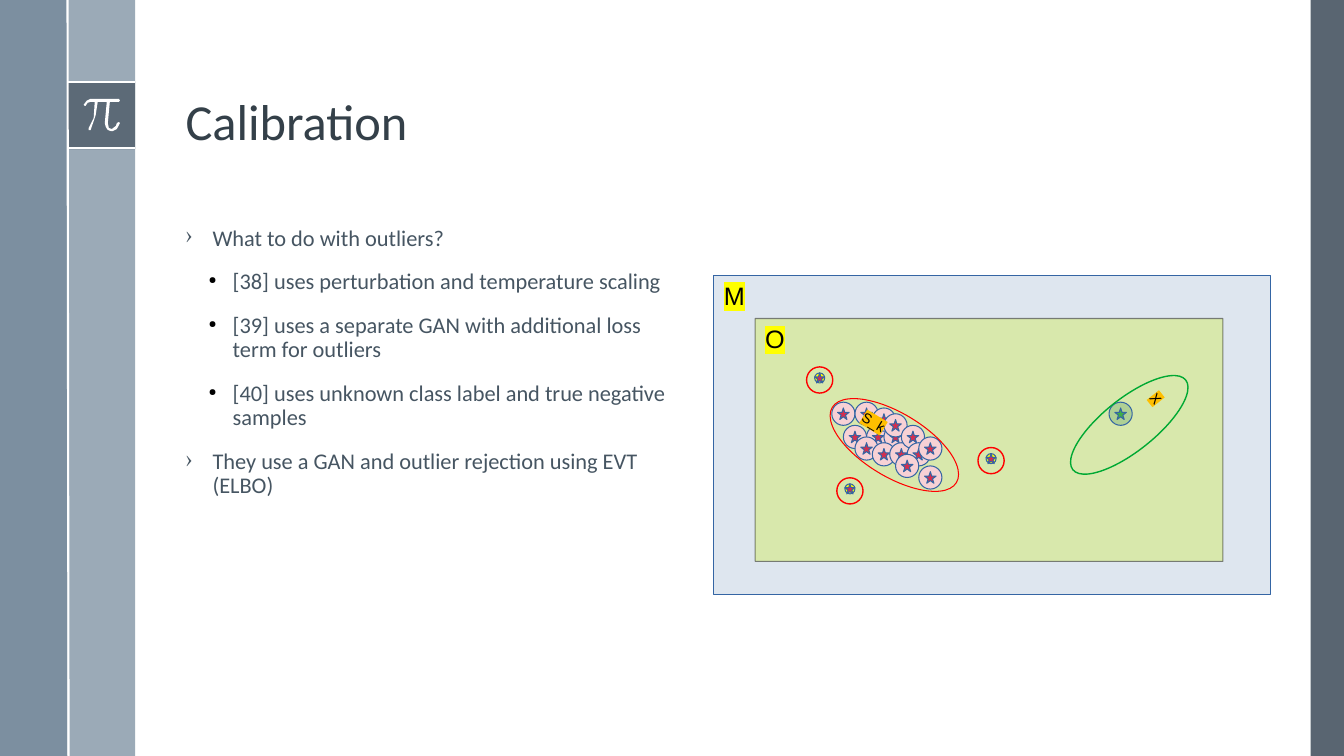
from lxml.etree import SubElement
from pptx import Presentation
from pptx.dml.color import RGBColor
from pptx.enum.shapes import MSO_CONNECTOR, MSO_SHAPE
from pptx.enum.text import MSO_ANCHOR, MSO_AUTO_SIZE, PP_ALIGN
from pptx.oxml.ns import qn
from pptx.util import Inches, Pt

COLORS = {
    "slate": "475562", "mist": "9BAAB7", "steel": "6A8093", "white": "FFFFFF",
    "title": "344049", "body": "465562", "black": "000000", "blue": "3465A4",
    "pale_blue": "DEE6EF", "lime": "D4EA6B", "ink": "111111", "pink": "F7D1D5",
    "crimson": "D62E4E", "red": "FF0000", "sage": "AFD095", "leaf": "3FAF46",
    "green": "00A933", "yellow": "FFFF00", "amber": "FFBF00",
}
PI_OUTLINE = [
    (1.18, 0.98), (0.9, 0.98), (0.86, 1), (0.83, 1.04), (0.84, 1.05), (0.85, 1.05),
    (0.87, 1.02), (0.9, 1.01), (0.94, 1.01), (0.93, 1.17), (0.88, 1.27), (0.88, 1.29),
    (0.9, 1.29), (0.95, 1.14), (0.97, 1.01), (1.06, 1.01), (1.04, 1.22), (1.05, 1.26),
    (1.07, 1.29), (1.1, 1.3), (1.12, 1.3), (1.16, 1.28), (1.19, 1.22), (1.18, 1.21),
    (1.16, 1.22), (1.15, 1.25), (1.11, 1.28), (1.08, 1.27), (1.07, 1.22), (1.09, 1.01),
    (1.18, 1.01), (1.19, 1),
]
BULLETS = [
    (0, "What to do with outliers?"),
    (1, "[38] uses perturbation and temperature scaling"),
    (1, "[39] uses a separate GAN with additional loss term for outliers"),
    (1, "[40] uses unknown class label and true negative samples"),
    (0, "They use a GAN and outlier rejection using EVT (ELBO)"),
]
BULLET_STYLES = [("›", "body", 100, 0.27, 0.27), ("●", "black", 45, 0.47, 0.24)]
CIRCLE = 0.23
CLUSTER_STEPS = [
    (0, 0), (4, 0), (2, 4), (6, 4), (7, 1), (9, 4), (4, 6), (7, 7), (9, 2),
    (10, 7), (12, 4), (13, 7), (11, 9), (15, 6), (15, 11),
]
OUTLIER_RINGS = [(9.7, 4.44), (8, 3.64), (8.3, 4.74)]


class SlideBuilder:
    """Holds the style and the current slide, with a method per kind of element."""

    def __init__(self, page):
        self.page = page

    def color(self, name):
        return RGBColor.from_string(COLORS[name])

    def paint(self, shape, fill=None, line=None, line_width=0, opacity=100, line_opacity=100):
        shape.shadow.inherit = False
        for paint_format, name in ((shape.fill, fill), (shape.line.fill, line)):
            if name is None:
                paint_format.background()
            else:
                paint_format.solid()
                paint_format.fore_color.rgb = self.color(name)
        if line:
            shape.line.width = Pt(line_width)
        for color in shape._element.spPr.iter(qn("a:srgbClr")):
            in_line = color.getparent().getparent().tag == qn("a:ln")
            alpha = line_opacity if in_line else opacity
            if alpha < 100:
                SubElement(color, qn("a:alpha"), val=str(alpha * 1000))

    def shape(self, kind, left, top, width, height, parent=None, rotation=0, **style):
        shapes = (parent or self.page).shapes
        shape = shapes.add_shape(kind, Inches(left), Inches(top), Inches(width), Inches(height))
        shape.rotation = rotation
        self.paint(shape, **style)
        return shape

    def rule(self, x1, y1, x2, y2):
        line = self.page.shapes.add_connector(
            MSO_CONNECTOR.STRAIGHT, Inches(x1), Inches(y1), Inches(x2), Inches(y2))
        line.line.color.rgb = self.color("white")
        line.line.width = Pt(1.5)
        SubElement(line._element.spPr, qn("a:effectLst"))

    def outline(self, points, fill):
        start, *others = [(Inches(x), Inches(y)) for x, y in points]
        builder = self.page.shapes.build_freeform(*start)
        builder.add_line_segments(others)
        self.paint(builder.convert_to_shape(), fill=fill)

    def format_span(self, span, size, font, color):
        span.font.size = Pt(size)
        span.font.name = font
        span.font.color.rgb = self.color(color)

    def label(self, shape, text, size, highlight):
        frame = shape.text_frame
        frame.word_wrap = False
        frame.vertical_anchor = MSO_ANCHOR.TOP
        frame.text = text
        para = frame.paragraphs[0]
        para.alignment = PP_ALIGN.LEFT
        span = para.runs[0]
        self.format_span(span, size, "Arial", "black")
        properties = span.font._element
        mark = SubElement(properties, qn("a:highlight"))
        SubElement(mark, qn("a:srgbClr"), val=COLORS[highlight])
        properties.find(qn("a:latin")).addprevious(mark)

    def title(self, text, left, top, width, height):
        box = self.page.shapes.title
        box.left, box.top = Inches(left), Inches(top)
        box.width, box.height = Inches(width), Inches(height)
        frame = box.text_frame
        frame.text = text
        frame.auto_size = MSO_AUTO_SIZE.NONE
        frame.vertical_anchor = MSO_ANCHOR.BOTTOM
        para = frame.paragraphs[0]
        para.alignment = PP_ALIGN.LEFT
        para.line_spacing = 0.9
        self.format_span(para.runs[0], 36, "Calibri", "title")

    def bullets(self, items, left, top, width, height):
        box = self.page.shapes.add_textbox(
            Inches(left), Inches(top), Inches(width), Inches(height))
        frame = box.text_frame
        frame.word_wrap = True
        for index, (level, text) in enumerate(items):
            para = frame.add_paragraph() if index else frame.paragraphs[0]
            para.text = text
            para.level = level
            symbol, color, percent, margin, hanging = BULLET_STYLES[level]
            properties = para._p.get_or_add_pPr()
            properties.set("marL", str(Inches(margin)))
            properties.set("indent", str(-Inches(hanging)))
            bullet_color = SubElement(properties, qn("a:buClr"))
            SubElement(bullet_color, qn("a:srgbClr"), val=COLORS[color])
            SubElement(properties, qn("a:buSzPct"), val=str(percent * 1000))
            SubElement(properties, qn("a:buChar"), char=symbol)
            para.line_spacing = 0.9
            para.space_before = Pt(14 if index else 0)
            self.format_span(para.runs[0], 16, "Calibri", "body")

    def marker(self, left, top, size, star_size, fill, star_fill):
        group = self.page.shapes.add_group_shape()
        inset = (size - star_size) / 2
        self.shape(MSO_SHAPE.OVAL, left, top, size, size, group, fill=fill, line="blue")
        self.shape(MSO_SHAPE.STAR_5_POINT, left + inset, top + inset, star_size, star_size,
                   group, fill=star_fill, line="blue")


def main():
    deck = Presentation()
    deck.slide_width, deck.slide_height = Inches(13.33), Inches(7.5)
    page = deck.slides.add_slide(deck.slide_layouts[5])
    builder = SlideBuilder(page)

    for left, top, width, height, fill, opacity in (
            (13, 0, 0.33, 7.5, "slate", 90), (0.67, 0, 0.67, 7.5, "mist", 100),
            (0, 0, 0.67, 7.5, "steel", 88), (0.67, 0.81, 0.67, 0.67, "slate", 75)):
        builder.shape(MSO_SHAPE.RECTANGLE, left, top, width, height, fill=fill, opacity=opacity)
    for y in (0.81, 1.47):
        builder.rule(0.67, y, 1.34, y)
    builder.outline(PI_OUTLINE, "white")
    builder.rule(0.67, 0, 0.68, 7.5)

    builder.title("Calibration", 1.74, 0.19, 10.7, 1.36)
    builder.bullets(BULLETS, 1.74, 2.2, 5.16, 4.55)

    space = builder.shape(MSO_SHAPE.RECTANGLE, 7.08, 2.73, 5.52, 3.17,
                          fill="pale_blue", line="blue")
    builder.label(space, "M", 18, "yellow")
    open_space = builder.shape(MSO_SHAPE.RECTANGLE, 7.49, 3.16, 4.64, 2.41, fill="lime",
                               line="ink", opacity=50, line_opacity=50)
    builder.label(open_space, "O", 18, "yellow")

    for column, row in CLUSTER_STEPS:
        builder.marker(8.25 + column * CIRCLE / 4, 3.99 + row * CIRCLE / 4,
                       CIRCLE, CIRCLE / 2, "pink", "crimson")
    known = builder.shape(MSO_SHAPE.OVAL, 8.15, 4.1, 1.44, 0.63, rotation=31.2, line="red")
    builder.label(known, "S_k", 10, "amber")

    builder.marker(11, 3.99, CIRCLE, CIRCLE / 2, "sage", "leaf")
    unknown = builder.shape(MSO_SHAPE.OVAL, 10.94, 3.5, 0.52, 1.43, rotation=51.5,
                            line="green", line_width=1)
    builder.label(unknown, "X", 10, "amber")

    for left, top in OUTLIER_RINGS:
        builder.marker(left + 0.08, top + 0.06, 0.1, 0.1, "yellow", "crimson")
        builder.shape(MSO_SHAPE.OVAL, left, top, 0.26, 0.26, line="red", line_width=1)

    deck.save("out.pptx")


if __name__ == "__main__":
    main()
